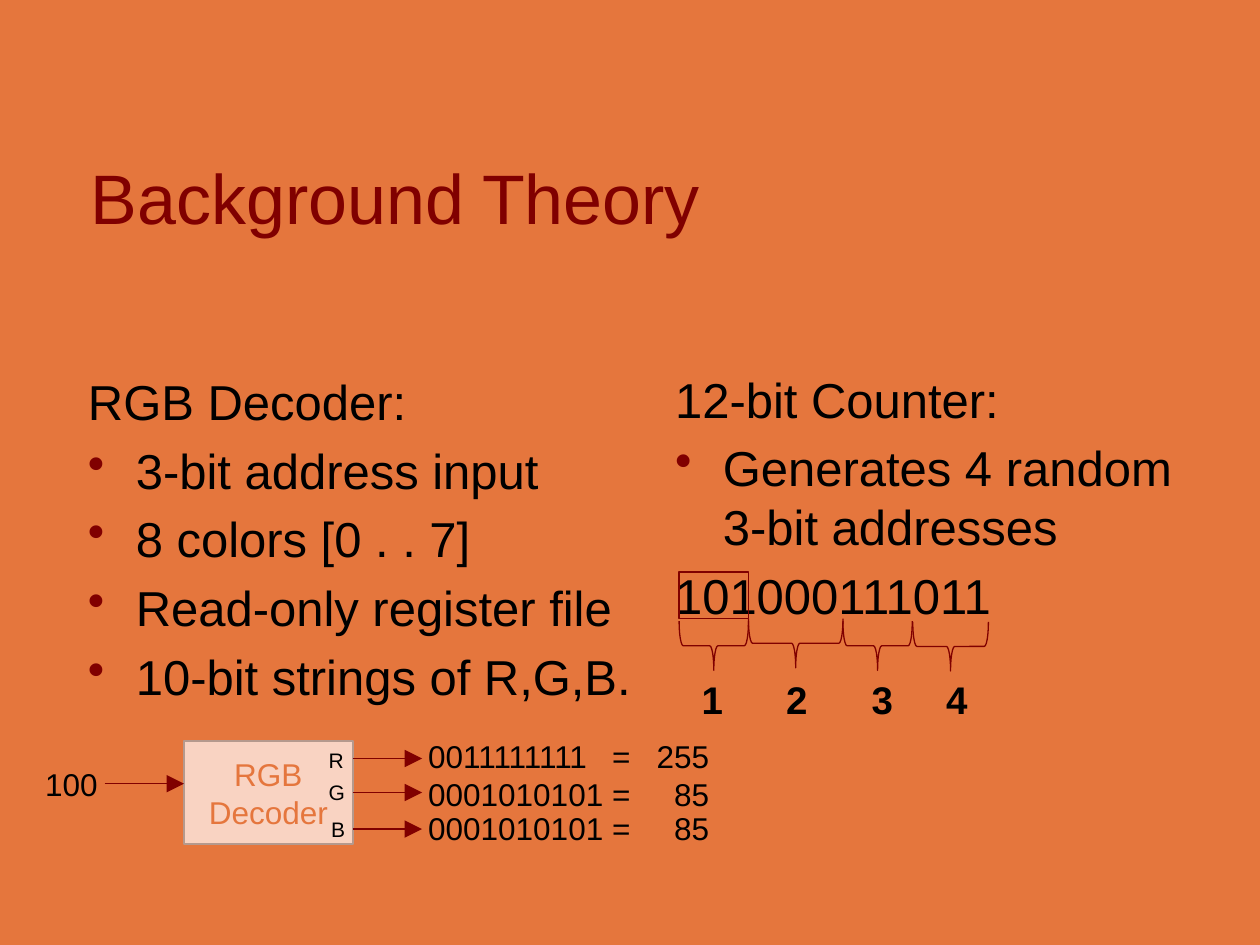
from lxml import etree
from pptx import Presentation
from pptx.dml.color import RGBColor
from pptx.enum.shapes import MSO_CONNECTOR, MSO_SHAPE
from pptx.enum.text import MSO_ANCHOR, PP_ALIGN
from pptx.oxml.ns import qn
from pptx.util import Inches, Pt

LINE = MSO_CONNECTOR.STRAIGHT
RECT, BRACE = MSO_SHAPE.RECTANGLE, MSO_SHAPE.LEFT_BRACE
TOP, MIDDLE = MSO_ANCHOR.TOP, MSO_ANCHOR.MIDDLE
LEFT, CENTER = PP_ALIGN.LEFT, PP_ALIGN.CENTER

ORANGE = RGBColor(0xE5, 0x76, 0x3D)
MAROON = RGBColor(0x80, 0x00, 0x00)
BLACK = RGBColor(0x00, 0x00, 0x00)
PEACH = RGBColor(0xF9, 0xD3, 0xC2)
TAUPE = RGBColor(0xB5, 0x99, 0x8D)

deck = Presentation()
deck.slide_width, deck.slide_height = Inches(10), Inches(7.5)
slide = deck.slides.add_slide(deck.slide_layouts[5])
slide.background.fill.solid()
slide.background.fill.fore_color.rgb = ORANGE
shapes = slide.shapes


def write(shape, text, size, color=BLACK, align=LEFT, anchor=TOP, bold=False):
    frame = shape.text_frame
    frame.text = text
    frame.word_wrap = True
    frame.vertical_anchor = anchor
    for para in frame.paragraphs:
        para.alignment = align
        for run in para.runs:
            run.font.name = "Arial"
            run.font.size = Pt(size)
            run.font.bold = bold
            run.font.color.rgb = color
    return frame


def set_tabs(para, stops):
    tabs = etree.SubElement(para._p.get_or_add_pPr(), qn("a:tabLst"))
    for pos, side in stops:
        etree.SubElement(tabs, qn("a:tab"), pos=str(Inches(pos)), algn=side)


# Title
title = shapes.title
title.left, title.top = Inches(0.62), Inches(1.18)
title.width, title.height = Inches(9.1), Inches(1.5)
write(title, "Background Theory", 40, MAROON)

# Two columns: a heading, then bulleted and plain lines
columns = [
    (0.6, 2.9, 4.66, 4, ["RGB Decoder:", "3-bit address input", "8 colors [0 . . 7]",
                         "Read-only register file", "10-bit strings of R,G,B."]),
    (5.26, 2.88, 4.47, 1, ["12-bit Counter:", "Generates 4 random 3-bit addresses",
                           "101000111011"]),
]
for left, top, width, count, lines in columns:
    box = shapes.add_textbox(Inches(left), Inches(top), Inches(width), Inches(3.82))
    frame = write(box, "\n".join(lines), 28)
    for para in frame.paragraphs[1:]:
        para.space_before = Pt(5.6)
    for para in frame.paragraphs[1:count + 1]:
        props = para._p.get_or_add_pPr()
        props.set("marL", str(Inches(0.38)))
        props.set("indent", str(-Inches(0.38)))
        tint = etree.SubElement(props, qn("a:buClr"))
        etree.SubElement(tint, qn("a:srgbClr"), val=str(MAROON))
        etree.SubElement(props, qn("a:buChar"), char="•")

# Braces under the four groups of bits
for left, top, height in [(5.47, 4.85, 0.55), (6.12, 4.73, 0.75),
                          (6.77, 4.85, 0.55), (7.35, 4.83, 0.6)]:
    brace = shapes.add_shape(BRACE, Inches(left), Inches(top), Inches(0.39), Inches(height))
    brace.rotation = 270
    brace.shadow.inherit = False
    brace.fill.background()
    brace.line.color.rgb = MAROON
    brace.line.width = Pt(0.75)

# Group numbers
box = shapes.add_textbox(Inches(5.47), Inches(5.32), Inches(2.44), Inches(0.47))
frame = write(box, "1\t2\t3\t4", 22, bold=True)
set_tabs(frame.paragraphs[0], [(0.67, "l"), (1.35, "l"), (1.94, "l")])

# Decoder block and the frame around the first group
block = shapes.add_shape(RECT, Inches(1.46), Inches(5.88), Inches(1.34), Inches(0.82))
block.fill.solid()
block.fill.fore_color.rgb = PEACH
block.line.color.rgb = TAUPE
write(block, "RGB Decoder", 18, ORANGE, CENTER, MIDDLE)
mark = shapes.add_shape(RECT, Inches(5.39), Inches(4.54), Inches(0.55), Inches(0.37))
mark.fill.background()
mark.line.color.rgb = MAROON
for shape in (block, mark):
    shape.shadow.inherit = False
    shape.line.width = Pt(1)

# Input value and port names
for text, left, top, width, height, size in [
        ("100", 0.26, 6.02, 0.62, 0.4, 18), ("R", 2.51, 5.88, 0.44, 0.3, 12),
        ("G", 2.51, 6.14, 0.44, 0.3, 12), ("B", 2.53, 6.43, 0.44, 0.3, 12)]:
    box = shapes.add_textbox(Inches(left), Inches(top), Inches(width), Inches(height))
    write(box, text, size)

# Input arrow and three output arrows
arrows = []
for start, end, y in [(0.83, 1.46, 6.22), (2.8, 3.35, 6.02),
                      (2.8, 3.35, 6.29), (2.8, 3.35, 6.58)]:
    arrow = shapes.add_connector(LINE, Inches(start), Inches(y), Inches(end), Inches(y))
    arrow.line.color.rgb = MAROON
    arrow.line.width = Pt(0.75)
    etree.SubElement(arrow.line._get_or_add_ln(), qn("a:tailEnd"),
                     type="triangle", w="lg", len="lg")
    etree.SubElement(arrow._element.spPr, qn("a:effectLst"))
    arrows.append(arrow)
arrows[2].begin_connect(block, 3)

# Output strings with their decimal values
for bits, value, top in [("0011111111", 255, 5.8), ("0001010101", 85, 6.1),
                         ("0001010101", 85, 6.37)]:
    box = shapes.add_textbox(Inches(3.3), Inches(top), Inches(2.46), Inches(0.4))
    frame = write(box, f"{bits}\t=\t{value}", 18)
    set_tabs(frame.paragraphs[0], [(1.46, "l"), (2.23, "r")])

deck.save("out.pptx")
